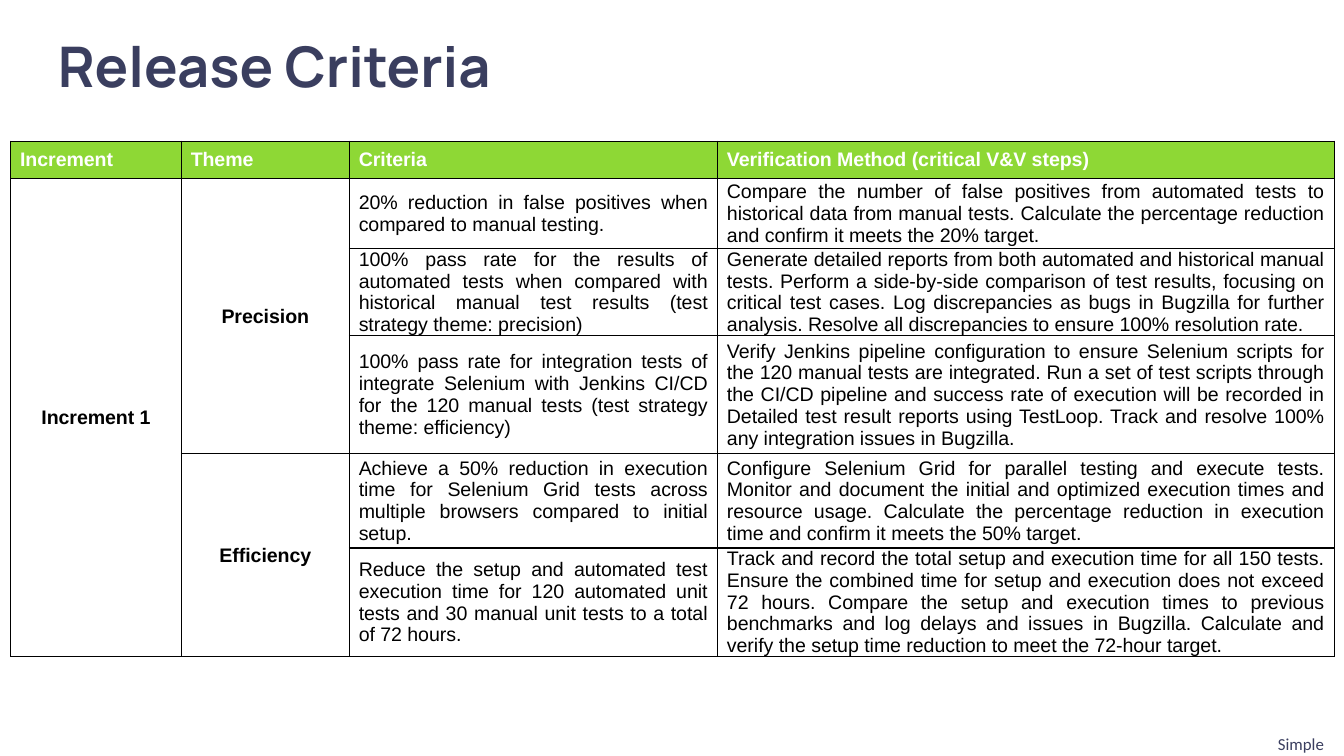
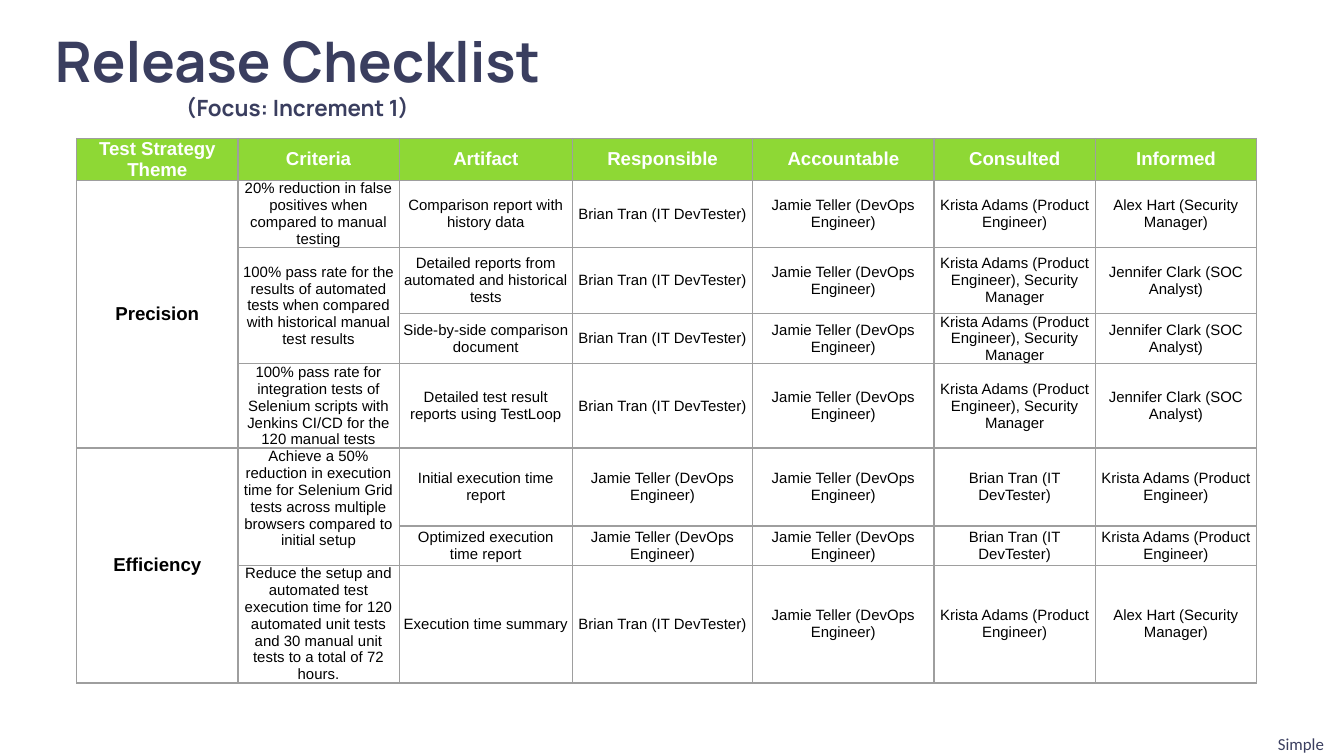
import pptx
import pptx.dml.color
import pptx.enum.text
import pptx.oxml
import pptx.oxml.ns
import pptx.util
from lxml import etree

Inches = pptx.util.Inches
Pt = pptx.util.Pt
ALIGN = pptx.enum.text.PP_ALIGN
MIDDLE = pptx.enum.text.MSO_ANCHOR.MIDDLE

# Shared look
INK, GREEN, WHITE, BLACK, GREY = "3A3E5F", "8ED835", "FFFFFF", "000000", "9E9E9E"
TITLE_FONT, BODY_FONT, FOOTER_FONT = "Manrope", "Arial", "Calibri"
FOOTER = "Simple"

# Release criteria: None continues the cell above
CRITERIA_ROWS = [
    ["Increment", "Theme", "Criteria", "Verification Method (critical V&V steps)"],
    ["Increment 1", "Precision",
     "20% reduction in false positives when compared to manual testing.",
     "Compare the number of false positives from automated tests to historical data "
     "from manual tests. Calculate the percentage reduction and confirm it meets the "
     "20% target."],
    [None, None,
     "100% pass rate for the results of automated tests when compared with historical "
     "manual test results (test strategy theme: precision)",
     "Generate detailed reports from both automated and historical manual tests. "
     "Perform a side-by-side comparison of test results, focusing on critical test "
     "cases. Log discrepancies as bugs in Bugzilla for further analysis. Resolve all "
     "discrepancies to ensure 100% resolution rate."],
    [None, None,
     "100% pass rate for integration tests of integrate Selenium with Jenkins CI/CD "
     "for the 120 manual tests (test strategy theme: efficiency)",
     "Verify Jenkins pipeline configuration to ensure Selenium scripts for the 120 "
     "manual tests are integrated. Run a set of test scripts through the CI/CD "
     "pipeline and success rate of execution will be recorded in Detailed test result "
     "reports using TestLoop. Track and resolve 100% any integration issues in "
     "Bugzilla."],
    [None, "Efficiency",
     "Achieve a 50% reduction in execution time for Selenium Grid tests across "
     "multiple browsers compared to initial setup.",
     "Configure Selenium Grid for parallel testing and execute tests. Monitor and "
     "document the initial and optimized execution times and resource usage. "
     "Calculate the percentage reduction in execution time and confirm it meets the "
     "50% target."],
    [None, None,
     "Reduce the setup and automated test execution time for 120 automated unit tests "
     "and 30 manual unit tests to a total of 72 hours.",
     "Track and record the total setup and execution time for all 150 tests. Ensure "
     "the combined time for setup and execution does not exceed 72 hours. Compare the "
     "setup and execution times to previous benchmarks and log delays and issues in "
     "Bugzilla. Calculate and verify the setup time reduction to meet the 72-hour "
     "target."],
]

# Release checklist
BRIAN = "Brian Tran (IT DevTester)"
JAMIE = "Jamie Teller (DevOps Engineer)"
KRISTA = "Krista Adams (Product Engineer)"
KRISTA_SECURITY = KRISTA + ", Security Manager"
ALEX = "Alex Hart (Security Manager)"
JENNIFER = "Jennifer Clark (SOC Analyst)"
PRECISION_TEAM = [BRIAN, JAMIE, KRISTA_SECURITY, JENNIFER]
EFFICIENCY_TEAM = [JAMIE, JAMIE, BRIAN, KRISTA]
SUMMARY_TEAM = [BRIAN, JAMIE, KRISTA, ALEX]

CHECKLIST_ROWS = [
    ["Test Strategy Theme", "Criteria", "Artifact",
     "Responsible", "Accountable", "Consulted", "Informed"],
    ["Precision",
     "20% reduction in false positives when compared to manual testing",
     "Comparison report with history data", *SUMMARY_TEAM],
    [None,
     "100% pass rate for the results of automated tests when compared with historical "
     "manual test results",
     "Detailed reports from automated and historical tests", *PRECISION_TEAM],
    [None, None, "Side-by-side comparison document", *PRECISION_TEAM],
    [None,
     "100% pass rate for integration tests of Selenium scripts with Jenkins CI/CD for "
     "the 120 manual tests",
     "Detailed test result reports using TestLoop", *PRECISION_TEAM],
    ["Efficiency",
     "Achieve a 50% reduction in execution time for Selenium Grid tests across "
     "multiple browsers compared to initial setup",
     "Initial execution time report", *EFFICIENCY_TEAM],
    [None, None, "Optimized execution time report", *EFFICIENCY_TEAM],
    [None,
     "Reduce the setup and automated test execution time for 120 automated unit tests "
     "and 30 manual unit tests to a total of 72 hours.",
     "Execution time summary", *SUMMARY_TEAM],
]


def rgb(value):
    return pptx.dml.color.RGBColor.from_string(value)


def add_run(p, text, size, font, color, bold=False):
    r = p.add_run()
    r.text = text
    r.font.size = Pt(size)
    r.font.name = font
    r.font.bold = bold
    r.font.color.rgb = rgb(color)


def set_box(sp, left, top, width, height):
    """Place a text shape and give its frame the shared insets."""
    sp.left, sp.top = Inches(left), Inches(top)
    sp.width, sp.height = Inches(width), Inches(height)
    tf = sp.text_frame
    tf.word_wrap = True
    tf.auto_size = pptx.enum.text.MSO_AUTO_SIZE.NONE
    tf.margin_left = tf.margin_right = tf.margin_top = tf.margin_bottom = Inches(0.1)
    return tf


def add_slide(prs, box, lines, align):
    """Add a slide with its title lines, given as (text, size), and the footer."""
    slide = prs.slides.add_slide(prs.slide_layouts[5])
    tf = set_box(slide.shapes.title, *box)
    tf.vertical_anchor = MIDDLE
    for i, (text, size) in enumerate(lines):
        p = tf.add_paragraph() if i else tf.paragraphs[0]
        p.alignment = align
        p.space_before = Pt(0)
        add_run(p, text, size, TITLE_FONT, INK, bold=True)

    tf = set_box(slide.shapes.add_textbox(0, 0, 0, 0), 9.36, 5.36, 0.64, 0.24)
    p = tf.paragraphs[0]
    p.alignment = ALIGN.CENTER
    add_run(p, FOOTER, 9, FOOTER_FONT, INK)
    return slide


def set_borders(cell, color):
    tcPr = cell._tc.get_or_add_tcPr()
    for side in ("lnL", "lnR", "lnT", "lnB"):
        ln = etree.SubElement(tcPr, pptx.oxml.ns.qn("a:" + side), w=str(Pt(0.75)))
        fill = etree.SubElement(ln, pptx.oxml.ns.qn("a:solidFill"))
        etree.SubElement(fill, pptx.oxml.ns.qn("a:srgbClr"), val=color)


def merge_down(table, rows):
    """Merge each cell with the None entries below it."""
    for c in range(len(rows[0])):
        start = 0
        for r in range(1, len(rows) + 1):
            if r == len(rows) or rows[r][c] is not None:
                if r - start > 1:
                    table.cell(start, c).merge(table.cell(r - 1, c))
                start = r


def add_grid(slide, left, top, widths, heights, rows, border, inset,
             head_size, body_size, align, label_cols):
    """Add a table with a green header and bold, centred label columns."""
    table = slide.shapes.add_table(
        len(rows), len(widths), Inches(left), Inches(top),
        Inches(sum(widths)), Inches(sum(heights))).table
    table.horz_banding = False
    for col, width in zip(table.columns, widths):
        col.width = Inches(width)
    for row, height in zip(table.rows, heights):
        row.height = Inches(height)

    for r, row in enumerate(rows):
        for c, text in enumerate(row):
            cell = table.cell(r, c)
            is_head, is_label = r == 0, r > 0 and c < label_cols
            cell.vertical_anchor = MIDDLE
            cell.margin_left = cell.margin_right = Inches(inset)
            cell.margin_top = cell.margin_bottom = 0
            set_borders(cell, border)
            if is_head:
                cell.fill.solid()
                cell.fill.fore_color.rgb = rgb(GREEN)
            else:
                cell.fill.background()
            if text is None:
                continue
            p = cell.text_frame.paragraphs[0]
            p.alignment = ALIGN.CENTER if is_label else align
            add_run(p, text, head_size if is_head or is_label else body_size,
                    BODY_FONT, WHITE if is_head else BLACK, is_head or is_label)
    merge_down(table, rows)
    return table


def main():
    prs = pptx.Presentation()
    # Widescreen, 16:9
    prs.slide_width = Inches(10)
    prs.slide_height = Inches(10) * 9 // 16

    # Release criteria
    slide = add_slide(prs, (0.33, 0.17, 6.02, 0.63),
                      [("Release Criteria", 30)], ALIGN.LEFT)
    add_grid(slide, 0.08, 1.05, [1.27, 1.25, 2.74, 4.59],
             [0.28, 0.52, 0.61, 0.88, 0.7, 0.79], CRITERIA_ROWS, BLACK,
             inset=0.07, head_size=10.5, body_size=10.5,
             align=ALIGN.JUSTIFY, label_cols=2)

    # Release checklist
    slide = add_slide(prs, (-0.73, 0, 5.89, 1.1),
                      [("Release Checklist", 30), ("（Focus: Increment 1）", 12)],
                      ALIGN.CENTER)
    table = add_grid(slide, 0.57, 1.03, [1.2, 1.2, 1.29, 1.34, 1.35, 1.2, 1.2],
                     [0.17, 0.44, 0.49, 0.11, 0.44, 0.58, 0.22, 0.72],
                     CHECKLIST_ROWS, GREY, inset=0.02, head_size=10, body_size=8,
                     align=ALIGN.CENTER, label_cols=1)
    # The grid-test criterion sits above the middle of its cell
    table.cell(5, 1).margin_bottom = Inches(0.12)

    prs.save("out.pptx")


if __name__ == "__main__":
    main()
